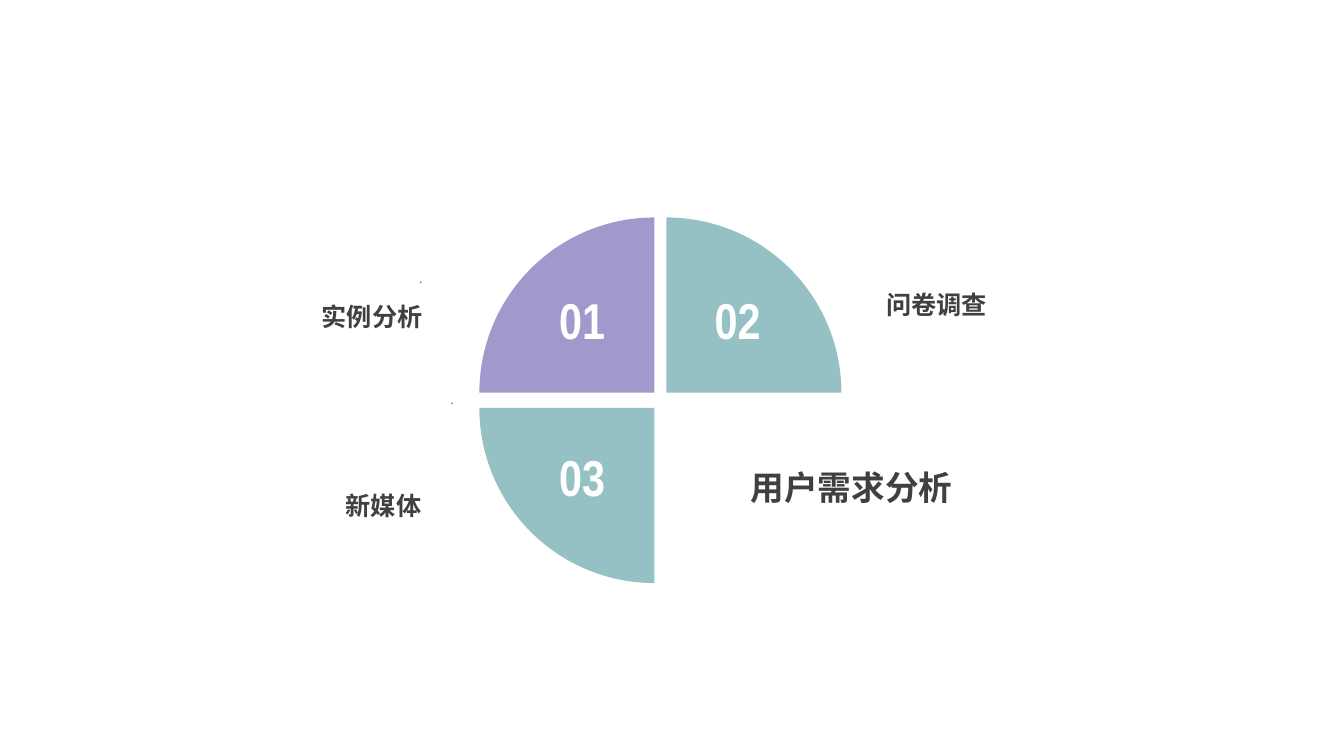
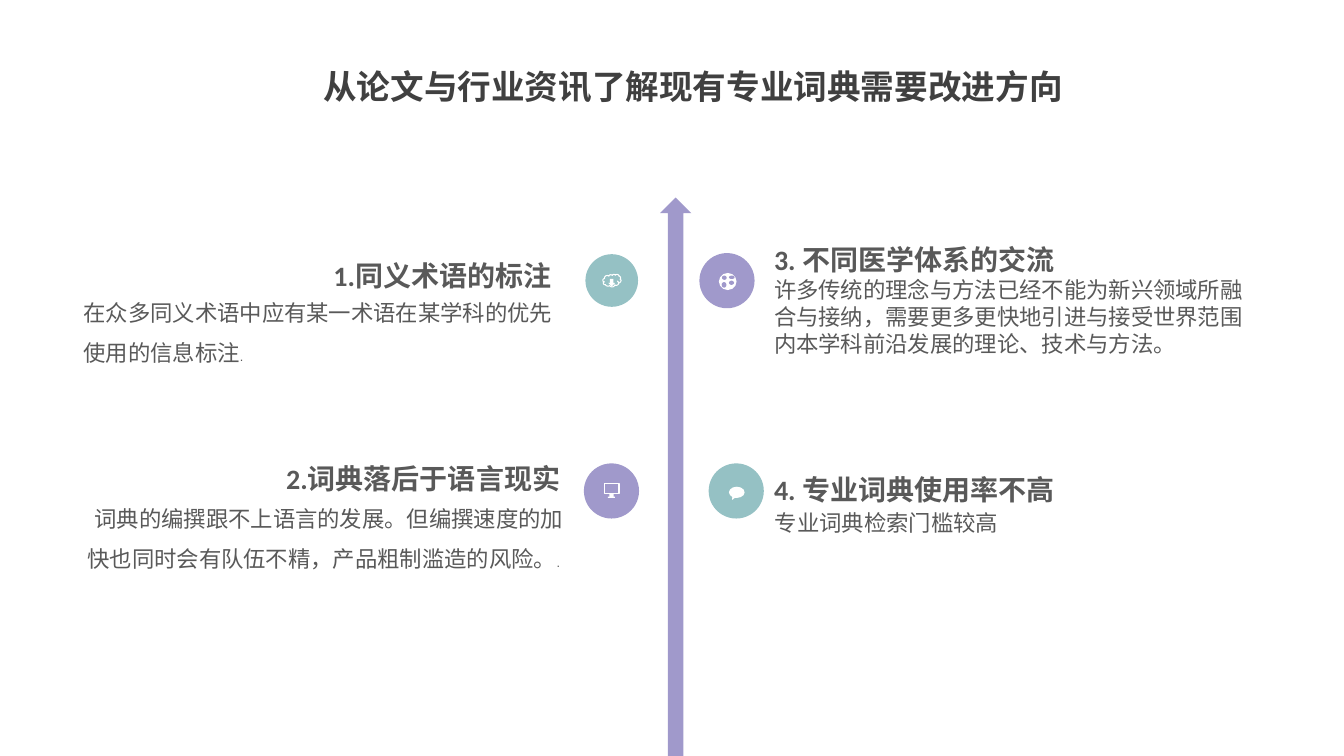
import dataclasses

import pptx
import pptx.dml.color
import pptx.enum.lang
import pptx.enum.shapes
import pptx.enum.text
import pptx.oxml.ns
import pptx.util

Pt = pptx.util.Pt
SHAPE = pptx.enum.shapes.MSO_SHAPE
ALIGN = pptx.enum.text.PP_ALIGN


@dataclasses.dataclass(frozen=True)
class Theme:
    teal: str = "95C1C4"
    purple: str = "A099CB"
    white: str = "FFFFFF"
    dark: str = "404040"
    grey: str = "595959"
    number: int = 36
    title: int = 24
    heading: int = 20
    label: int = 18
    body: int = 16
    dot: int = 9
    east_asian: str = "Calibri"


theme = Theme()


def add_text(page, frame, spans, color, wrap=True, font="Calibri", bold=False, **para_format):
    """Place one paragraph; spans are (text, size) pairs."""
    box = page.shapes.add_textbox(*map(Pt, frame))
    box.text_frame.word_wrap = wrap
    box.text_frame.auto_size = pptx.enum.text.MSO_AUTO_SIZE.SHAPE_TO_FIT_TEXT
    para = box.text_frame.paragraphs[0]
    for name, value in para_format.items():
        setattr(para, name, value)
    for text, size in spans:
        span = para.add_run()
        span.text = text
        font_format = {
            "name": font,
            "size": Pt(size),
            "bold": bold,
            "language_id": pptx.enum.lang.MSO_LANGUAGE_ID.SIMPLIFIED_CHINESE,
        }
        for name, value in font_format.items():
            setattr(span.font, name, value)
        span.font.color.rgb = pptx.dml.color.RGBColor.from_string(color)
        latin = span.font._element.find(pptx.oxml.ns.qn("a:latin"))
        east_asian = latin.makeelement(pptx.oxml.ns.qn("a:ea"), {"typeface": theme.east_asian})
        latin.addnext(east_asian)


def add_shape(page, kind, frame, fill=None, outline=None):
    """Place a preset shape with a flat fill or a thin outline."""
    shape = page.shapes.add_shape(kind, *map(Pt, frame))
    shape.shadow.inherit = False
    for paint, color in ((shape.fill, fill), (shape.line.fill, outline)):
        if color:
            paint.solid()
            paint.fore_color.rgb = pptx.dml.color.RGBColor.from_string(color)
        else:
            paint.background()
    if outline:
        shape.line.width = Pt(0.75)
    return shape


deck = pptx.Presentation()
deck.slide_width, deck.slide_height = Pt(960), Pt(540)
blank = deck.slide_layouts[6]

# Slide 1: three quarters of a ring, the fourth place holds the title
page = deck.slides.add_slide(blank)
wedge, gap_x, gap_y = 125.1, 8.4, 11
ring_left, ring_top = 342.4, 155.3
quarters = [
    # column, row, rotation, colour, number, number left, number width
    (0, 0, 0, theme.purple, "01", 392.4, 47.5),
    (1, 0, 90, theme.teal, "02", 503.3, 51.8),
    (0, 1, 270, theme.teal, "03", 392.4, 52.6),
]
for column, row, rotation, color, number, left, width in quarters:
    corner = (ring_left + column * (wedge + gap_x), ring_top + row * (wedge + gap_y))
    add_shape(page, SHAPE.PIE_WEDGE, (*corner, wedge, wedge), color).rotation = rotation
    add_text(page, (left, 203 + row * 112.4, width, 50.4), [(number, theme.number)],
             theme.white, wrap=False, font="Arial Narrow", bold=True)

# Labels around the ring
labels = [
    ("实例分析", (221.8, 211.7, 87.1, 28.8), theme.label, ALIGN.RIGHT),
    ("问卷调查", (625, 203, 87.1, 28.8), theme.label, ALIGN.RIGHT),
    ("新媒体", (239.8, 347, 69.1, 28.8), theme.label, ALIGN.LEFT),
    ("用户需求分析", (529.2, 329.8, 159.8, 36), theme.title, ALIGN.LEFT),
]
for text, frame, size, alignment in labels:
    add_text(page, frame, [(text, size)], theme.dark, wrap=False, bold=True, alignment=alignment)

for left, top in ((43.9, 184.3), (66.2, 270.7)):
    add_text(page, (left, top, 265, 21.6), [(".", theme.dot)], theme.dark,
             font="Arial", alignment=ALIGN.RIGHT, line_spacing=1.5)

# Slide 2: title and upward arrow
page = deck.slides.add_slide(blank)
add_shape(page, SHAPE.UP_ARROW, (471.5, 141.1, 22.3, 398.9), theme.purple)
add_text(page, (223.9, 43.2, 603.4, 36), [("从论文与行业资讯了解现有专业词典需要改进方向", theme.title)],
         theme.dark, bold=True)

# Four points: heading and body text
body, dot = theme.body, theme.dot
points = [
    ("1.同义术语的标注", (231.1, 181.4, 239), (52.6, 200.2),
     [("在众多同义术语中应有某一术语在某学科的优先使用的信息标注", body), (".", dot)],
     {"line_spacing": 1.5}),
    ("2.词典落后于语言现实", (197.3, 326.2, 261.4), (52.6, 347.8),
     [("词典的编撰跟不上语言的发展。但编撰速度的加快也同时会有队伍不精，产品粗制滥造的风险。", body),
      (". ", dot)],
     {"line_spacing": 1.5, "alignment": ALIGN.RIGHT}),
    ("3. 不同医学体系的交流", (545.8, 169.9, 228.2), (545.8, 193.7),
     [("许多传统的理念与方法已经不能为新兴领域所融合与接纳，"
       "需要更多更快地引进与接受世界范围内本学科前沿发展的理论、技术与方法。", body)], {}),
    ("4. 专业词典使用率不高", (545.8, 334.1, 228.2), (546.5, 360),
     [("专业词典检索门槛较高", body)], {}),
]
for heading, heading_frame, corner, spans, para_format in points:
    add_text(page, (*heading_frame, 31.7), [(heading, theme.heading)], theme.grey, bold=True)
    add_text(page, (*corner, 357.1, 65.5), spans, theme.grey, font="Arial", **para_format)

# Discs with icons; icon parts are offsets from the disc centre
white, teal, purple = theme.white, theme.teal, theme.purple
cloud = [
    (SHAPE.CLOUD, (-6.4, -4.4, 13, 9), None, white),
    (SHAPE.DOWN_ARROW, (-2.5, -1.2, 5, 5.4), white, None),
]
screen = [
    (SHAPE.RECTANGLE, (-5.2, -5.6, 10.6, 7.4), None, white),
    (SHAPE.RECTANGLE, (-1.5, 2, 3, 2.2), white, None),
    (SHAPE.RECTANGLE, (-2.5, 4, 5, 0.9), white, None),
]
globe = [
    (SHAPE.OVAL, (-5.8, -5.5, 12.6, 12.2), white, None),
    (SHAPE.OVAL, (-3.6, -3.6, 3.4, 3), purple, None),
    (SHAPE.OVAL, (-3.8, 1, 3.4, 4), purple, None),
    (SHAPE.OVAL, (1.4, -3.6, 4, 2.4), purple, None),
    (SHAPE.OVAL, (1.4, 0, 3.6, 3), purple, None),
]
speech = [(SHAPE.OVAL_CALLOUT, (-5.2, -3, 11.2, 8), white, None)]
discs = [
    (437, 200.4, 37.6, teal, cloud),
    (436.8, 350.7, 39.4, purple, screen),
    (519.3, 200.5, 39.4, purple, globe),
    (525.9, 350.7, 39.4, teal, speech),
]
for center_x, center_y, size, color, icon in discs:
    add_shape(page, SHAPE.OVAL, (center_x - size / 2, center_y - size / 2, size, size), color)
    for kind, (left, top, width, height), fill, outline in icon:
        part = add_shape(page, kind, (center_x + left, center_y + top, width, height), fill, outline)
        if kind == SHAPE.OVAL_CALLOUT:
            part.adjustments[0], part.adjustments[1] = -0.3, 0.68

deck.save("out.pptx")
